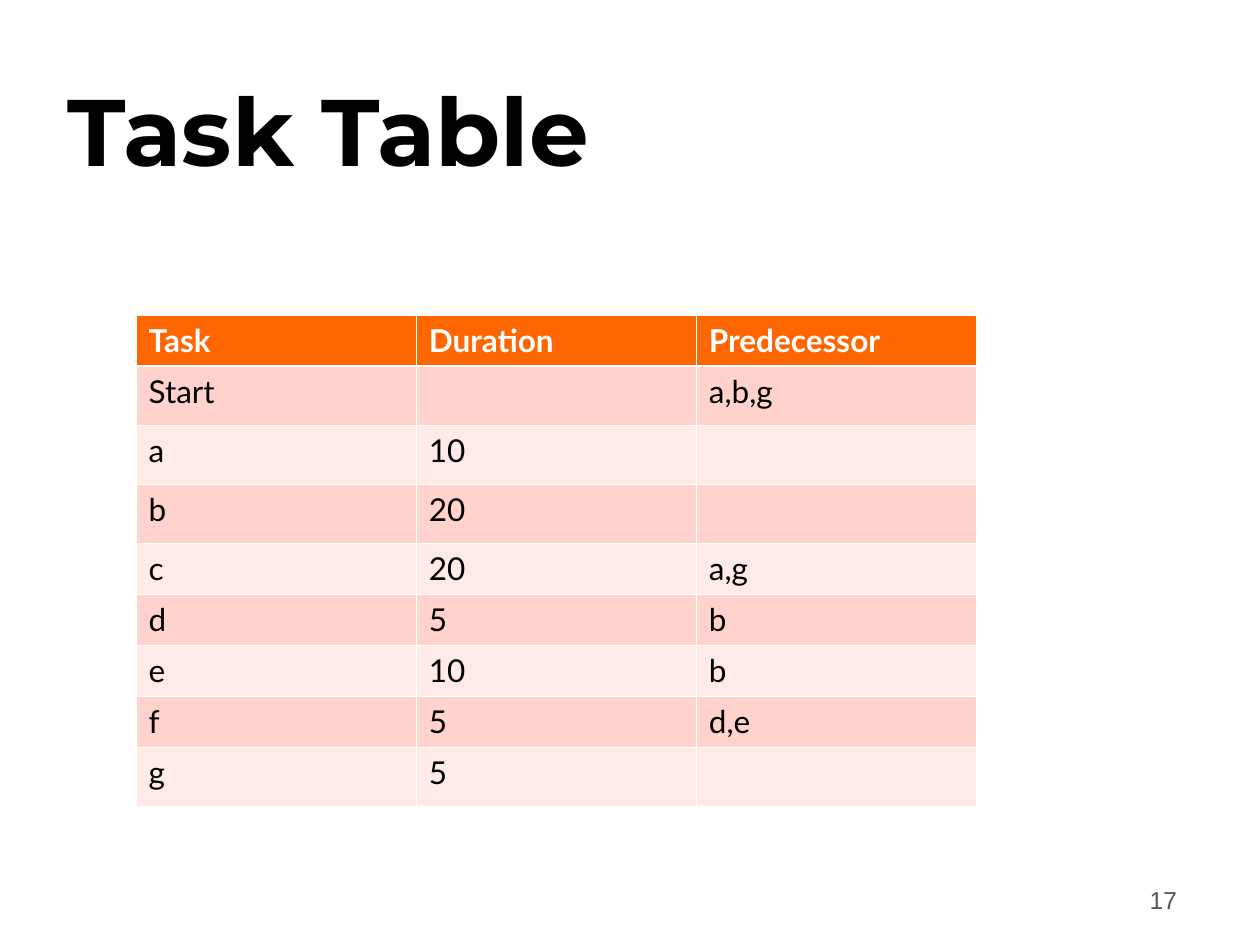
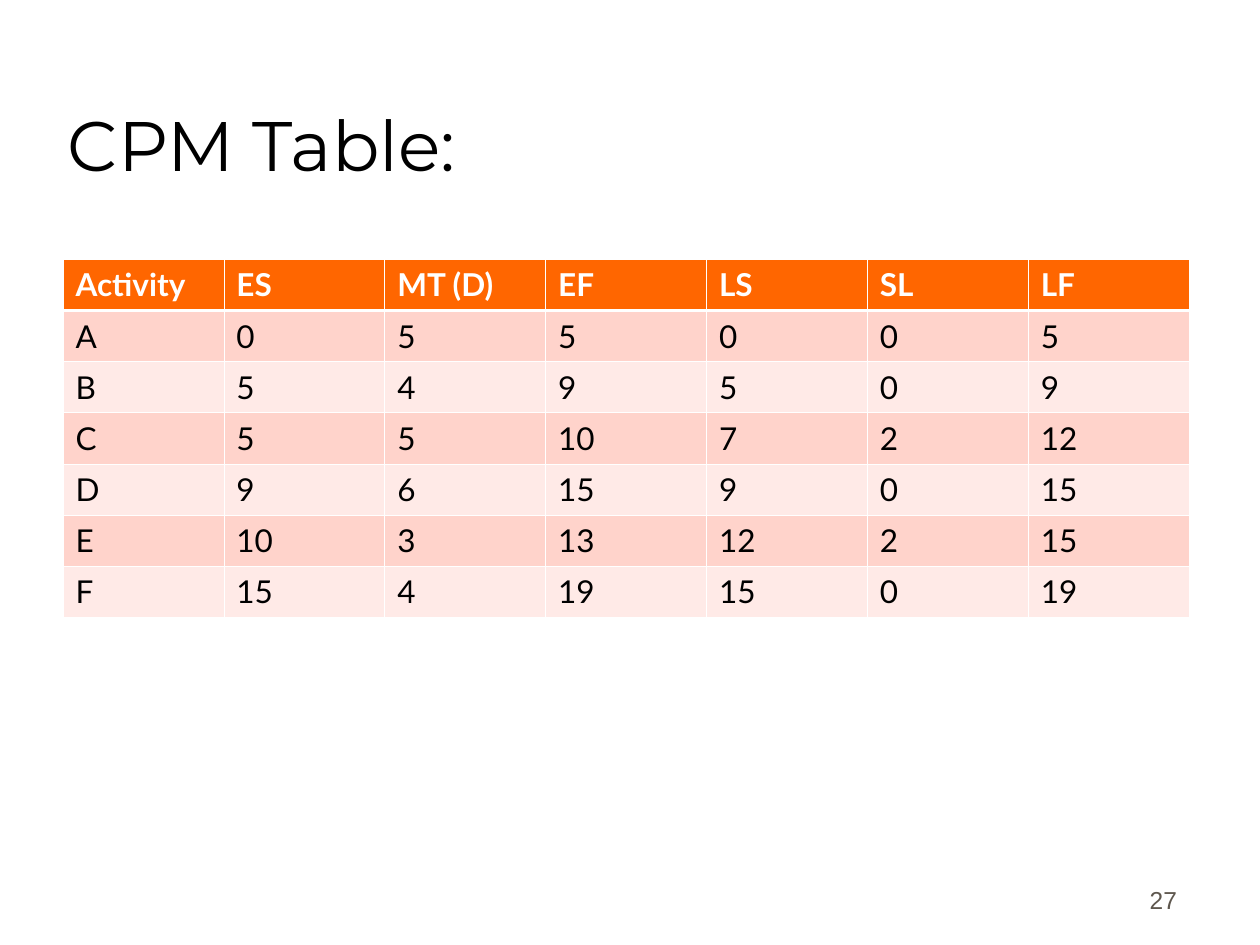
from pptx import Presentation
from pptx.dml.color import RGBColor
from pptx.enum.text import MSO_ANCHOR, PP_ALIGN
from pptx.oxml import parse_xml
from pptx.oxml.ns import nsdecls
from pptx.util import Inches, Pt

BOTTOM = MSO_ANCHOR.BOTTOM
LEFT, RIGHT = PP_ALIGN.LEFT, PP_ALIGN.RIGHT

BLACK = RGBColor(0x00, 0x00, 0x00)
WHITE = RGBColor(0xFF, 0xFF, 0xFF)
GREY = RGBColor(0x5E, 0x57, 0x4E)
ORANGE = RGBColor(0xFF, 0x66, 0x00)
BANDS = RGBColor(0xFF, 0xD3, 0xCB), RGBColor(0xFF, 0xEA, 0xE7)

TITLE = dict(name="Montserrat", color=BLACK)
NUMBER = dict(name="Arial", size=Pt(14), color=GREY)
HEAD = dict(name="Lato", size=Pt(18), bold=True, color=WHITE)
BODY = dict(HEAD, bold=False, color=BLACK)

TITLE_BOX = 0.44, 0.25, 8.5, 1.25
NUMBER_BOX = 7.36, 6.81, 2.08, 0.5
TALL = 0.47  # height of a row that has an empty cell
THIN, THICK = Pt(0.45), Pt(1.47)

TASKS = [
    ["Task", "Duration", "Predecessor"],
    ["Start", "", "a,b,g"],
    ["a", "10", ""],
    ["b", "20", ""],
    ["c", "20", "a,g"],
    ["d", "5", "b"],
    ["e", "10", "b"],
    ["f", "5", "d,e"],
    ["g", "5", ""],
]
PATHS = [
    ["Activity", "ES", "MT (D)", "EF", "LS", "SL", "LF"],
    ["A", 0, 5, 5, 0, 0, 5],
    ["B", 5, 4, 9, 5, 0, 9],
    ["C", 5, 5, 10, 7, 2, 12],
    ["D", 9, 6, 15, 9, 0, 15],
    ["E", 10, 3, 13, 12, 2, 15],
    ["F", 15, 4, 19, 15, 0, 19],
]


def style(font, form):
    for key, value in form.items():
        if key == "color":
            font.color.rgb = value
        else:
            setattr(font, key, value)


def add_text(slide, box, text, form, align=LEFT, foot=0.05):
    frame = slide.shapes.add_textbox(*map(Inches, box)).text_frame
    frame.word_wrap = True
    frame.vertical_anchor = BOTTOM
    frame.margin_bottom = Inches(foot)
    para = frame.paragraphs[0]
    para.alignment = align
    run = para.add_run()
    run.text = text
    style(run.font, form)


def add_edges(cell, row):
    """Draw white cell borders, thick between the head and the first row."""
    widths = dict(L=THIN, R=THIN,
                  T=THICK if row == 1 else THIN,
                  B=THICK if row == 0 else THIN)
    props = cell._tc.get_or_add_tcPr()
    for place, (side, width) in enumerate(widths.items()):
        props.insert(place, parse_xml(
            f'<a:ln{side} {nsdecls("a")} w="{width}"><a:solidFill>'
            f'<a:srgbClr val="{WHITE}"/></a:solidFill></a:ln{side}>'))


def fill_cell(cell, row, value):
    cell.fill.solid()
    cell.fill.fore_color.rgb = BANDS[(row - 1) % 2] if row else ORANGE
    add_edges(cell, row)
    if value != "":
        run = cell.text_frame.paragraphs[0].add_run()
        run.text = str(value)
        style(run.font, BODY if row else HEAD)


def add_grid(slide, box, data):
    """Fill the box with a table; rows without empty cells share what is left."""
    left, top, width, height = box
    count = len(data[0])
    tall = sum("" in line for line in data)
    plain = (height - tall * TALL) / (len(data) - tall)
    table = slide.shapes.add_table(len(data), count, *map(Inches, box)).table
    for col in table.columns:
        col.width = Inches(width / count)
    for row, line in enumerate(data):
        table.rows[row].height = Inches(TALL if "" in line else plain)
        for col, value in enumerate(line):
            fill_cell(table.cell(row, col), row, value)


def add_page(deck, title, form, box, data, number):
    slide = deck.slides.add_slide(deck.slide_layouts[6])
    add_text(slide, TITLE_BOX, title, dict(TITLE, **form), foot=0.03)
    add_grid(slide, box, data)
    add_text(slide, NUMBER_BOX, number, NUMBER, RIGHT)


def main():
    deck = Presentation()
    deck.slide_width, deck.slide_height = Inches(10), Inches(7.5)
    add_page(deck, "Task Table", dict(size=Pt(54), bold=True),
             (1.08, 2.5, 6.67, 3.9), TASKS, "17")
    add_page(deck, "CPM Table:", dict(size=Pt(40)),
             (0.5, 2.06, 8.94, 2.84), PATHS, "27")
    deck.save("out.pptx")


if __name__ == "__main__":
    main()
